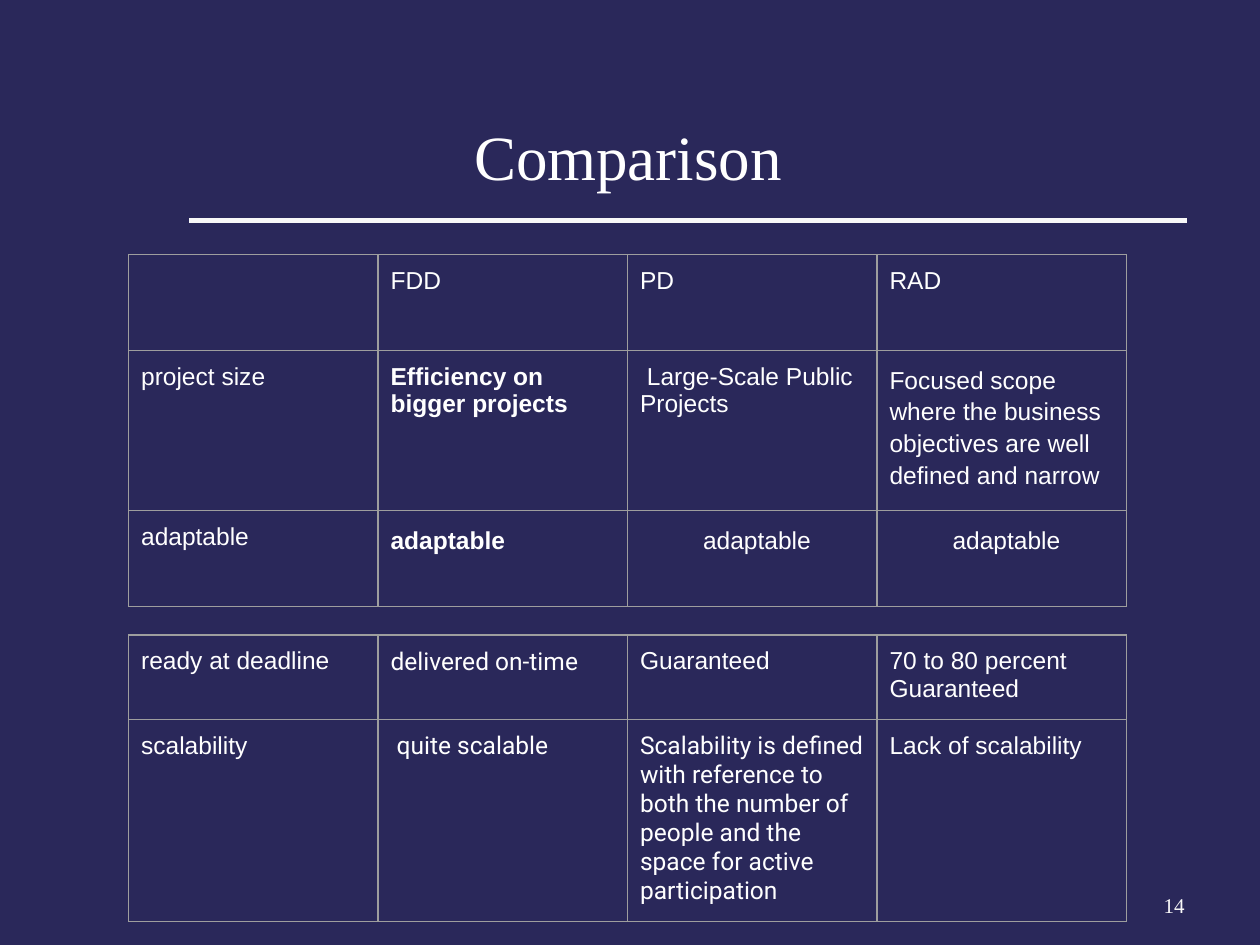
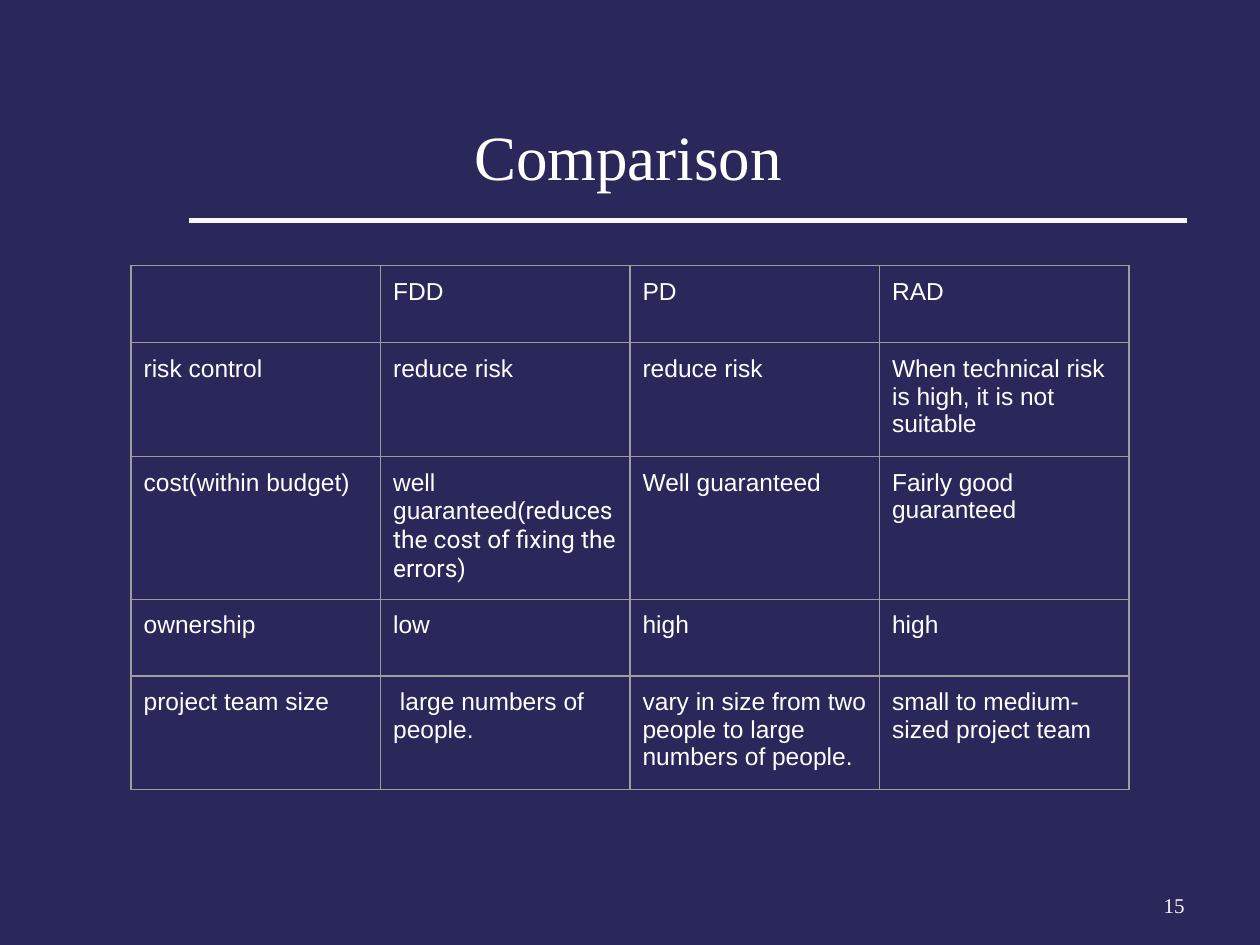
"""Build two slides that compare the FDD, PD and RAD methods in tables."""
from pptx import Presentation
from pptx.dml.color import RGBColor
from pptx.enum.shapes import MSO_CONNECTOR
from pptx.enum.text import MSO_ANCHOR, MSO_AUTO_SIZE, PP_ALIGN
from pptx.oxml.ns import qn
from pptx.util import Inches, Pt
from lxml.etree import SubElement

NAVY = RGBColor(0x2A, 0x28, 0x5A)
WHITE = RGBColor(0xFF, 0xFF, 0xFF)
OFF_WHITE = RGBColor(0xF8, 0xF8, 0xF8)
GRID_GRAY = RGBColor(0x9E, 0x9E, 0x9E)
SERIF, SANS, ROBOTO = "Times New Roman", "Arial", "Roboto"

COLUMN_WIDTH = Inches(1.98)
CELL_MARGIN = Inches(0.1)
METHODS = ["", "FDD", "PD", "RAD"]

TIGHT = {"before": 3.6}
LOOSE = {"spacing": 1.15, "before": 6, "after": 1}
INDENTED = {**LOOSE, "indent": Inches(0.5)}

SIZE_AND_ADAPTABILITY = [
    METHODS,
    ["project size",
     [("Efficiency on bigger projects", {"bold": True, **TIGHT})],
     " Large-Scale Public Projects",
     [("Focused scope where the business objectives are well defined and narrow", LOOSE)]],
    ["adaptable",
     [("adaptable", {"bold": True, "spacing": 1.15, "before": 11, "after": 19})],
     [("adaptable", INDENTED)],
     [("adaptable", INDENTED)]],
]
DEADLINE = [
    ["ready at deadline", [("delivered on-time", {"font": ROBOTO})],
     "Guaranteed", "70 to 80 percent Guaranteed"],
]
SCALABILITY = [
    ["scalability",
     [(" quite scalable", {"font": ROBOTO})],
     [("Scalability is defined with reference to both the number of people "
       "and the space for active participation", {"font": ROBOTO})],
     [("Lack of scalability", TIGHT)]],
]
RISK_COST_AND_TEAM = [
    METHODS,
    ["risk control", "reduce risk", "reduce risk",
     [("When technical risk is high, it is not suitable", TIGHT)]],
    ["cost(within budget)",
     [("well guaranteed(", {}),
      ("reduces the cost of fixing the errors)", {"font": ROBOTO})],
     "Well guaranteed", "Fairly good guaranteed"],
    ["ownership", "low", "high", "high"],
    ["project team size", " large numbers of people.",
     "vary in size from two people to large numbers of people.",
     [("small to medium-sized project team", TIGHT)]],
]

COMPARISONS = [
    (14, [(1.02, 2.02, 0.76, SIZE_AND_ADAPTABILITY),
          (1.02, 5.04, 0.67, DEADLINE),
          (1.02, 5.71, 0.67, SCALABILITY)]),
    (15, [(1.04, 2.11, 0.61, RISK_COST_AND_TEAM)]),
]


def write_text(paragraph, text, size=14, font=SANS, color=WHITE, bold=False,
               align=None, spacing=None, before=None, after=None, indent=None):
    """Append a formatted run and set the paragraph options that are given."""
    run = paragraph.add_run()
    run.text = text
    run.font.size, run.font.name, run.font.bold = Pt(size), font, bold
    run.font.color.rgb = color
    if align is not None:
        paragraph.alignment = align
    if spacing is not None:
        paragraph.line_spacing = spacing
    if before is not None:
        paragraph.space_before = Pt(before)
    if after is not None:
        paragraph.space_after = Pt(after)
    if indent is not None:
        properties = paragraph._p.get_or_add_pPr()
        properties.set("marL", str(indent))
        properties.set("indent", "0")


def add_title(slide, text):
    """Place and format the slide title."""
    title = slide.shapes.title
    title.left, title.top = Inches(1.5), Inches(0.33)
    title.width, title.height = Inches(6.97), Inches(1.25)
    frame = title.text_frame
    frame.auto_size = MSO_AUTO_SIZE.NONE
    frame.vertical_anchor = MSO_ANCHOR.BOTTOM
    write_text(frame.paragraphs[0], text, size=36, font=SERIF, align=PP_ALIGN.CENTER)


def add_title_rule(slide):
    """Draw the rule under the title."""
    rule = slide.shapes.add_connector(
        MSO_CONNECTOR.STRAIGHT, Inches(1.5), Inches(1.75), Inches(9.42), Inches(1.75))
    rule.line.color.rgb = OFF_WHITE
    rule.line.width = Pt(3)
    SubElement(rule._element.spPr, qn("a:effectLst"))


def add_page_number(slide, number):
    """Write the page number at the lower right."""
    footer = slide.shapes.add_textbox(Inches(7.17), Inches(6.83), Inches(2.33), Inches(0.5))
    frame = footer.text_frame
    frame.word_wrap = True
    frame.vertical_anchor = MSO_ANCHOR.BOTTOM
    write_text(frame.paragraphs[0], str(number), size=12, font=SERIF,
               color=OFF_WHITE, align=PP_ALIGN.RIGHT)


def format_cell(cell):
    """Give a cell thin gray borders, even margins and no fill."""
    properties = cell._tc.get_or_add_tcPr()
    for side in ("a:lnL", "a:lnR", "a:lnT", "a:lnB"):
        border = SubElement(properties, qn(side), w=str(Pt(0.75)))
        fill = SubElement(border, qn("a:solidFill"))
        SubElement(fill, qn("a:srgbClr"), val=str(GRID_GRAY))
    cell.fill.background()
    cell.margin_left = cell.margin_right = CELL_MARGIN
    cell.margin_top = cell.margin_bottom = CELL_MARGIN


def add_comparison_table(slide, left, top, row_height, rows):
    """Add a table of equal columns, with cells given as text or as formatted runs."""
    columns = len(METHODS)
    table = slide.shapes.add_table(
        len(rows), columns, Inches(left), Inches(top),
        COLUMN_WIDTH * columns, Inches(row_height) * len(rows)).table
    table.first_row = table.horz_banding = False
    for row_index, row in enumerate(rows):
        for column_index, content in enumerate(row):
            cell = table.cell(row_index, column_index)
            format_cell(cell)
            runs = [(content, {})] if isinstance(content, str) else content
            for text, options in runs:
                write_text(cell.text_frame.paragraphs[0], text, **options)


def main():
    """Build and save the presentation."""
    prs = Presentation()
    prs.slide_width, prs.slide_height = Inches(10), Inches(7.5)
    background = prs.slide_master.background.fill
    background.solid()
    background.fore_color.rgb = NAVY
    for page, tables in COMPARISONS:
        slide = prs.slides.add_slide(prs.slide_layouts.get_by_name("Title Only"))
        add_title_rule(slide)
        add_title(slide, "Comparison")
        add_page_number(slide, page)
        for left, top, row_height, rows in tables:
            add_comparison_table(slide, left, top, row_height, rows)
    prs.save("out.pptx")


if __name__ == "__main__":
    main()
